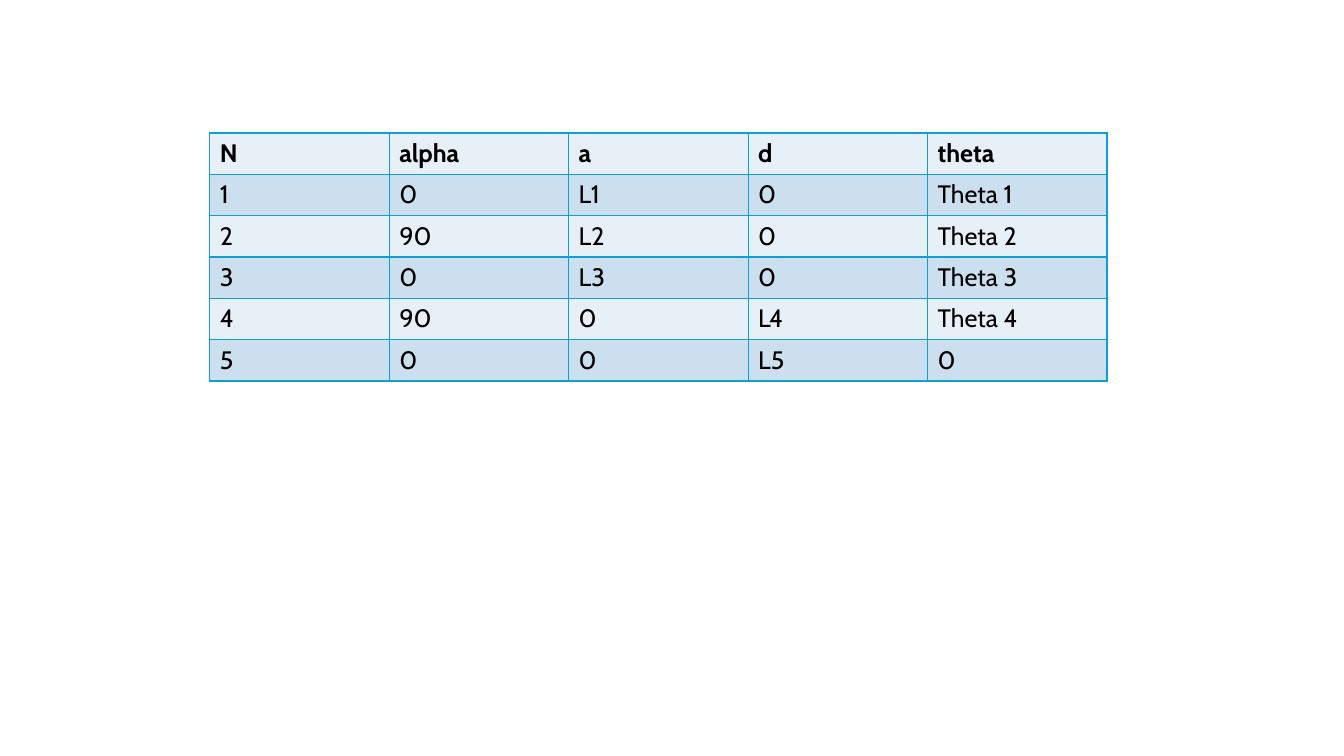
from lxml.etree import SubElement
from pptx import Presentation
from pptx.dml.color import RGBColor
from pptx.oxml.ns import qn
from pptx.util import Inches, Pt

ROWS = [
    ["N", "alpha", "a", "d", "theta"],
    ["1", "0", "L1", "0", "Theta 1"],
    ["2", "90", "L2", "0", "Theta 2"],
    ["3", "0", "L3", "0", "Theta 3"],
    ["4", "90", "0", "L4", "Theta 4"],
    ["5", "0", "0", "L5", "0"],
]


def rgb(value):
    return RGBColor.from_string(value)


def write(tf, text, font="Cabin", size=18, color="000000", bold=False):
    r = tf.paragraphs[0].add_run()
    r.text = text
    r.font.name = font
    r.font.size = Pt(size)
    r.font.bold = bold
    r.font.color.rgb = rgb(color)


class SlideBuilder:
    """Hold the table style and the current slide."""

    bands = ("E7F0F7", "CCDFEF")
    border = "0F9ED5"
    border_width = Pt(1)

    def __init__(self, s):
        self.s = s

    def borders(self, cell):
        tcPr = cell._tc.get_or_add_tcPr()
        for i, side in enumerate(("lnL", "lnR", "lnT", "lnB")):
            ln = tcPr.makeelement(qn(f"a:{side}"), {"w": str(self.border_width)})
            fill = SubElement(ln, qn("a:solidFill"))
            SubElement(fill, qn("a:srgbClr"), val=self.border)
            tcPr.insert(i, ln)

    def table(self, rows, left, top, col_width, row_height):
        n_rows, n_cols = len(rows), len(rows[0])
        frame = self.s.shapes.add_table(
            n_rows, n_cols, Inches(left), Inches(top),
            Inches(col_width * n_cols), Inches(row_height * n_rows))
        table = frame.table
        for col in table.columns:
            col.width = Inches(col_width)
        for i, values in enumerate(rows):
            table.rows[i].height = Inches(row_height)
            for j, text in enumerate(values):
                cell = table.cell(i, j)
                cell.fill.solid()
                cell.fill.fore_color.rgb = rgb(self.bands[i % 2])
                self.borders(cell)
                write(cell.text_frame, text, bold=i == 0)


def main():
    prs = Presentation()
    prs.slide_width, prs.slide_height = Inches(13.33), Inches(7.5)
    s = prs.slides.add_slide(prs.slide_layouts[6])
    SlideBuilder(s).table(ROWS, 2.08, 1.32, 1.78, 0.41)
    prs.save("out.pptx")


if __name__ == "__main__":
    main()
